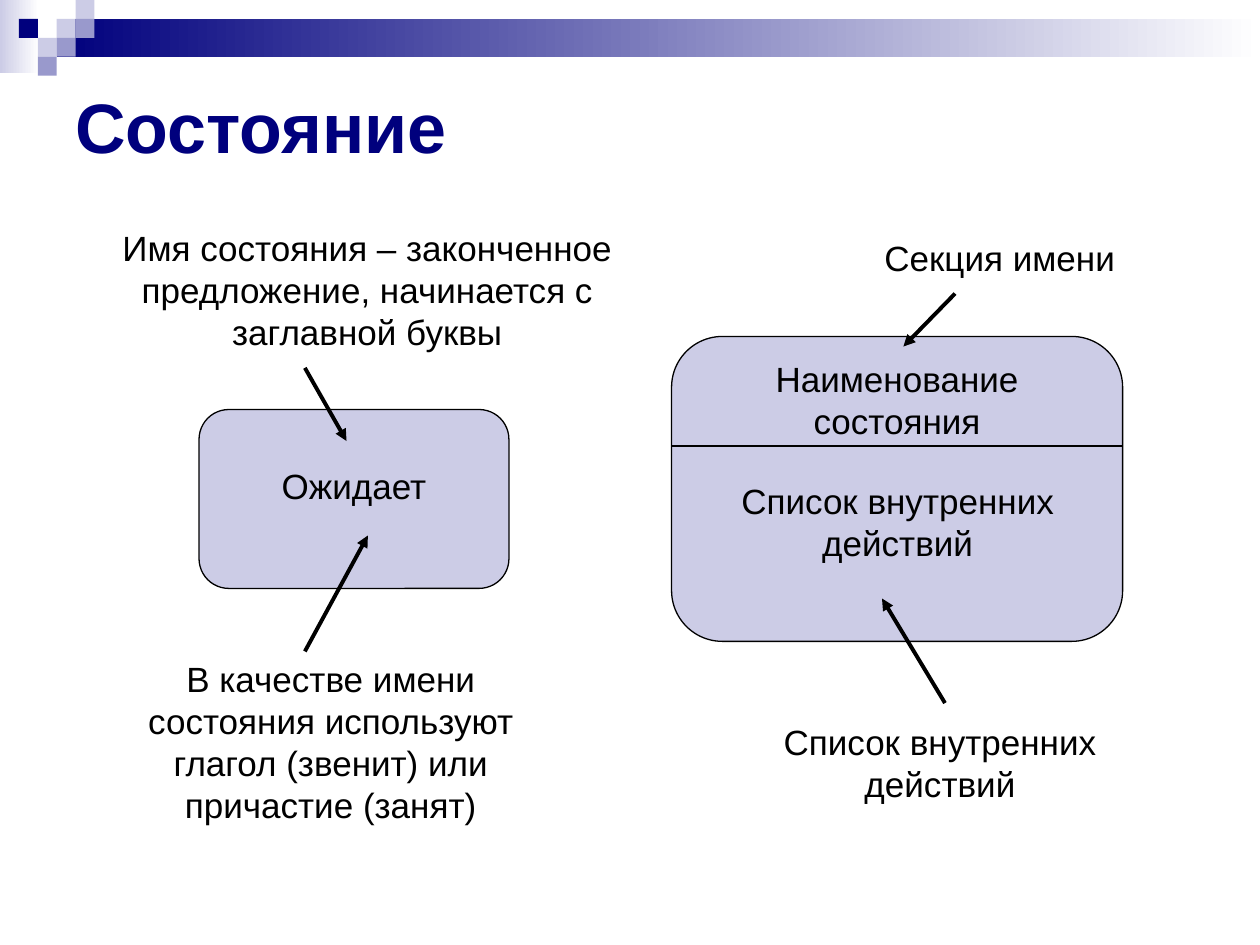
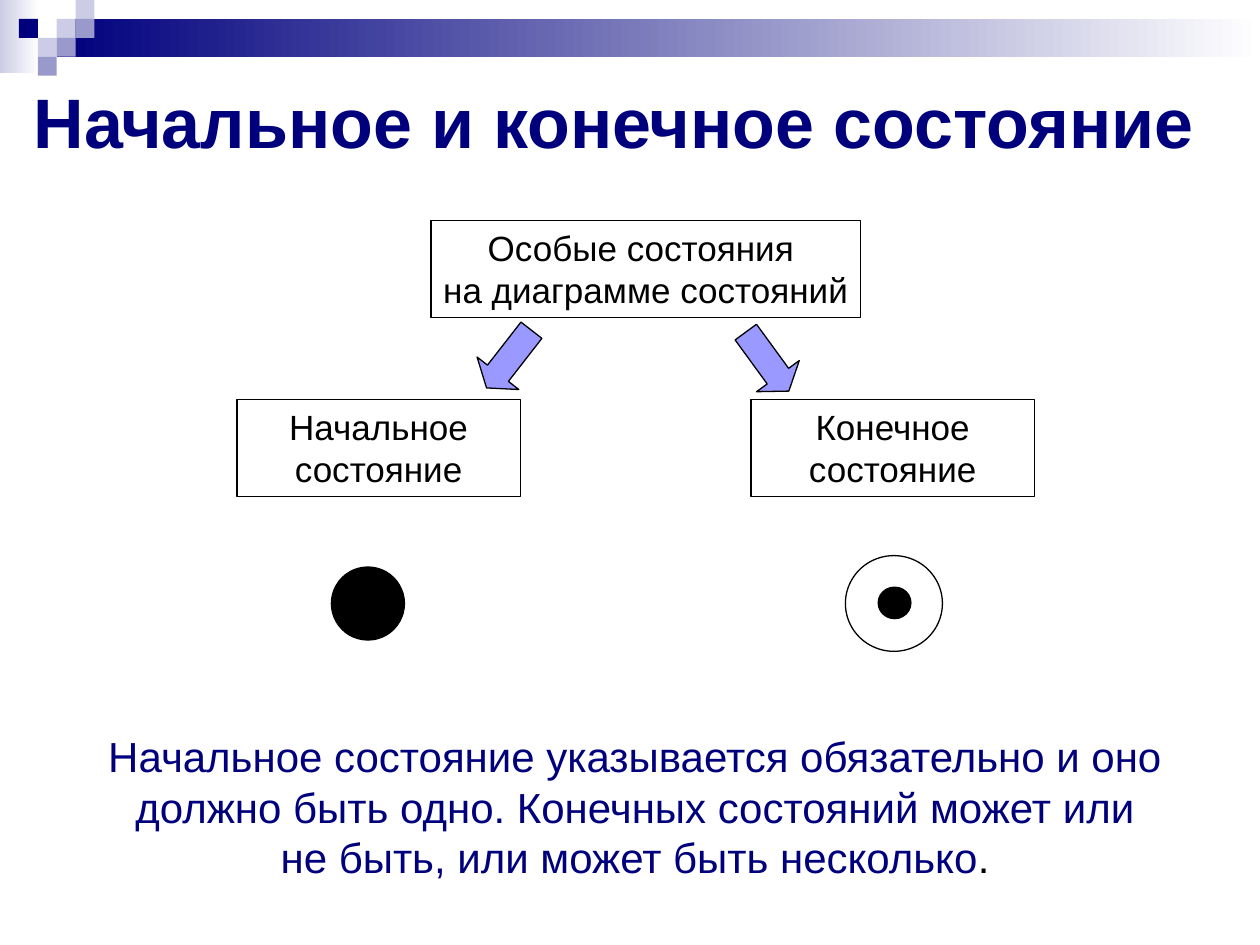
import pptx
import pptx.dml.color
import pptx.enum.shapes
import pptx.enum.text
import pptx.oxml.ns
import pptx.oxml.xmlchemy
import pptx.util

Inches = pptx.util.Inches
Pt = pptx.util.Pt
RGBColor = pptx.dml.color.RGBColor
OxmlElement = pptx.oxml.xmlchemy.OxmlElement
Shape = pptx.enum.shapes.MSO_SHAPE
Align = pptx.enum.text.PP_ALIGN
Anchor = pptx.enum.text.MSO_ANCHOR

NAVY = RGBColor(0x00, 0x00, 0x7D)
LAVENDER = RGBColor(0xCC, 0xCC, 0xE6)
VIOLET = RGBColor(0x99, 0x99, 0xCC)
ARROW_BLUE = RGBColor(0x99, 0x99, 0xFF)
BLACK = RGBColor(0x00, 0x00, 0x00)
WHITE = RGBColor(0xFF, 0xFF, 0xFF)

FONT = "Arial"
SQUARE = 0.15
CHECKERS = [
    (3, 1, LAVENDER), (4, 0, LAVENDER), (4, 1, VIOLET), (2, 2, LAVENDER),
    (1, 1, NAVY), (3, 2, VIOLET), (2, 3, VIOLET),
]


def add_figure(slide, kind, box, fill=None, line=BLACK):
    """Add a preset shape with a solid fill or none, and a thin line or none."""
    shape = slide.shapes.add_shape(kind, *map(Inches, box))
    shape.shadow.inherit = False
    if fill is None:
        shape.fill.background()
    else:
        shape.fill.solid()
        shape.fill.fore_color.rgb = fill
    if line is None:
        shape.line.fill.background()
    else:
        shape.line.color.rgb = line
        shape.line.width = Pt(0.75)
    return shape


def write(shape, lines, size=20, color=BLACK, bold=False, align=Align.CENTER,
          anchor=Anchor.TOP, wrap=True, top=0.05):
    """Write one paragraph per line into a shape and return its text frame."""
    frame = shape.text_frame
    frame.word_wrap = wrap
    frame.vertical_anchor = anchor
    frame.margin_top = Inches(top)
    frame.text = "\n".join(lines)
    for paragraph in frame.paragraphs:
        paragraph.alignment = align
        font = paragraph.font
        font.name, font.size, font.bold = FONT, Pt(size), bold
        font.color.rgb = color
    return frame


def add_label(slide, box, *lines, **style):
    """Add a text box with the given lines."""
    return write(slide.shapes.add_textbox(*map(Inches, box)), lines, **style)


def add_line(slide, start, end, width=0.75, arrow=False):
    """Draw a straight black line, with an arrowhead at its end if asked."""
    connector = slide.shapes.add_connector(
        pptx.enum.shapes.MSO_CONNECTOR.STRAIGHT, *map(Inches, start + end))
    connector.line.color.rgb = BLACK
    connector.line.width = Pt(width)
    properties = connector._element.spPr
    if arrow:
        head = OxmlElement("a:tailEnd")
        head.set("type", "triangle")
        properties.find(pptx.oxml.ns.qn("a:ln")).append(head)
    properties.append(OxmlElement("a:effectLst"))


def add_gradient_bar(slide, box, color):
    """Add a bar that fades from a colour to white, left to right."""
    bar = add_figure(slide, Shape.RECTANGLE, box, line=None)
    bar.fill.gradient()
    bar.fill.gradient_angle = 0
    for stop, stop_color in zip(bar.fill.gradient_stops, (color, WHITE)):
        stop.color.rgb = stop_color


def add_titled_slide(presentation, title, title_box):
    """Add a blank slide with the header band, the checkers and a title."""
    slide = presentation.slides.add_slide(presentation.slide_layouts[6])
    add_gradient_bar(slide, (0, 0, 0.31, 0.58), LAVENDER)
    add_gradient_bar(slide, (0.45, 0.15, 9.55, 0.3), NAVY)
    for column, row, color in CHECKERS:
        box = (column * SQUARE, row * SQUARE, SQUARE, SQUARE)
        add_figure(slide, Shape.RECTANGLE, box, color, None)
    add_label(slide, title_box, title, size=40, color=NAVY, bold=True,
              align=Align.LEFT, anchor=Anchor.MIDDLE)
    return slide


def build_state_slide(presentation):
    """Build the slide on the notation of a state."""
    slide = add_titled_slide(presentation, "Состояние", (0.5, 0.5, 9, 1))
    rounded = Shape.FLOWCHART_ALTERNATE_PROCESS

    waiting = add_figure(slide, rounded, (1.58, 3.25, 2.46, 1.42), LAVENDER)
    write(waiting, ["Ожидает"], top=0.37)

    sections = add_figure(slide, rounded, (5.33, 2.67, 3.58, 2.42), LAVENDER)
    write(sections, ["Наименование состояния"])
    add_line(slide, (5.33, 3.54), (8.91, 3.54))
    actions = add_figure(slide, Shape.RECTANGLE, (5.66, 3.76, 2.93, 1.1), LAVENDER, None)
    write(actions, ["Список внутренних действий"])

    add_label(slide, (0.75, 1.75, 4.33, 1.1),
              "Имя состояния – законченное предложение, начинается с заглавной буквы")
    add_label(slide, (1, 5.17, 3.25, 1.44),
              "В качестве имени состояния используют глагол (звенит) или причастие (занят)")
    add_label(slide, (6.92, 1.83, 2.03, 0.44), "Секция имени", wrap=False)
    add_label(slide, (5.92, 5.67, 3.08, 0.77), "Список внутренних действий")

    for start, end in [
        ((2.42, 2.92), (2.75, 3.5)),
        ((2.42, 5.17), (2.92, 4.25)),
        ((7.58, 2.33), (7.17, 2.75)),
        ((7.5, 5.58), (7, 4.75)),
    ]:
        add_line(slide, start, end, 2.25, arrow=True)


def build_special_states_slide(presentation):
    """Build the slide on the initial and final states."""
    slide = add_titled_slide(
        presentation, "Начальное и конечное состояние", (0.17, 0.5, 9.83, 0.92))

    special = add_figure(slide, Shape.RECTANGLE, (3.42, 1.75, 3.41, 0.77))
    write(special, ["Особые состояния ", "на диаграмме состояний"], wrap=False)
    for left, name in [(1.88, "Начальное состояние"), (5.96, "Конечное состояние")]:
        write(add_figure(slide, Shape.RECTANGLE, (left, 3.17, 2.25, 0.77)), [name])

    for left, top, rotation in [(3.83, 2.56, 37.9), (5.88, 2.58, 323.9)]:
        arrow = add_figure(slide, Shape.DOWN_ARROW, (left, top, 0.42, 0.58), ARROW_BLUE)
        arrow.adjustments[1] = 0.35
        arrow.rotation = rotation

    add_figure(slide, Shape.OVAL, (2.63, 4.5, 0.58, 0.58), BLACK)
    add_figure(slide, Shape.OVAL, (6.97, 4.66, 0.26, 0.25), BLACK)
    add_figure(slide, Shape.OVAL, (6.71, 4.41, 0.77, 0.76))

    rule = add_label(
        slide, (0.75, 5.75, 8.58, 1.3),
        "Начальное состояние указывается обязательно и оно должно быть одно. "
        "Конечных состояний может или не быть, или может быть несколько",
        size=24, color=NAVY)
    period = rule.paragraphs[0].add_run()
    period.text = "."
    period.font.color.rgb = BLACK


def main():
    """Build and save the presentation."""
    presentation = pptx.Presentation()
    presentation.slide_width = Inches(10)
    presentation.slide_height = Inches(7.5)
    build_state_slide(presentation)
    build_special_states_slide(presentation)
    presentation.save("out.pptx")


if __name__ == "__main__":
    main()
